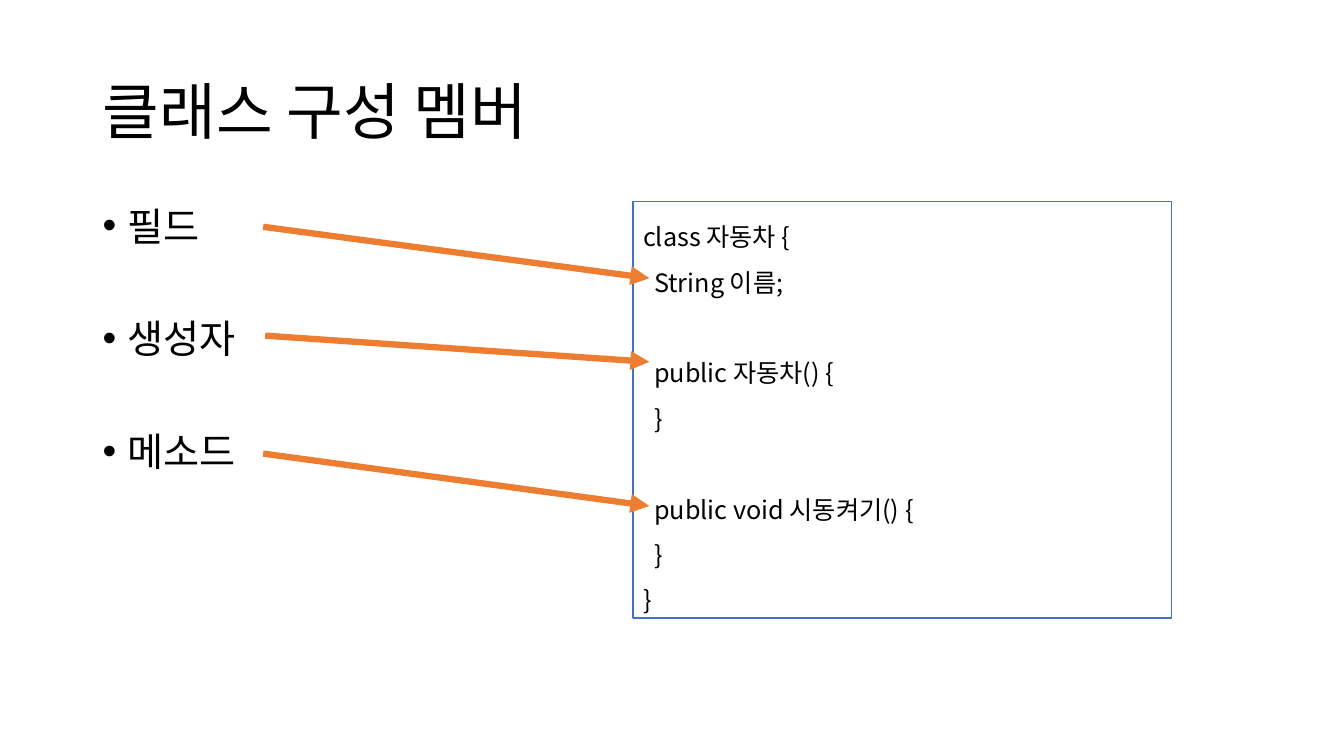
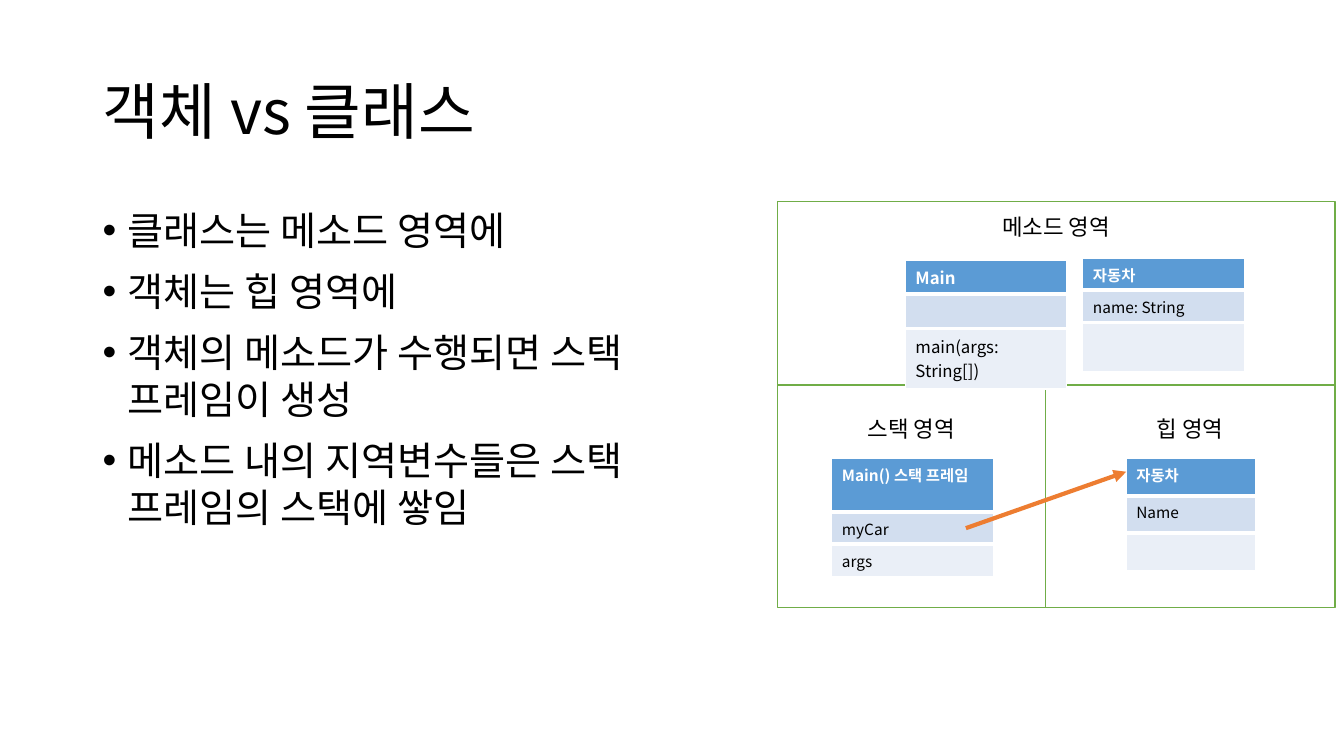
import pptx
import pptx.util
import pptx.dml.color
import pptx.enum.shapes
import pptx.enum.text
import pptx.oxml.ns
from lxml import etree

Inches, Pt = pptx.util.Inches, pptx.util.Pt
RGBColor = pptx.dml.color.RGBColor
RECTANGLE = pptx.enum.shapes.MSO_SHAPE.RECTANGLE
STRAIGHT = pptx.enum.shapes.MSO_CONNECTOR.STRAIGHT
TOP = pptx.enum.text.MSO_ANCHOR.TOP
MIDDLE = pptx.enum.text.MSO_ANCHOR.MIDDLE
LEFT = pptx.enum.text.PP_ALIGN.LEFT
CENTER = pptx.enum.text.PP_ALIGN.CENTER
qn = pptx.oxml.ns.qn

FONT = "Noto Sans CJK KR"
BLACK = RGBColor(0x00, 0x00, 0x00)
WHITE = RGBColor(0xFF, 0xFF, 0xFF)
BLUE = RGBColor(0x44, 0x72, 0xC4)
GREEN = RGBColor(0x70, 0xAD, 0x47)
ORANGE = RGBColor(0xED, 0x7D, 0x31)
ROW_FILLS = [RGBColor(0x5B, 0x9B, 0xD5), RGBColor(0xD2, 0xDE, 0xEF), RGBColor(0xEA, 0xEF, 0xF7)]


def style_text(paragraph, size, color=BLACK, bold=False, align=LEFT, line=None):
    """Format the runs of a paragraph; line is the line height in points."""
    paragraph.alignment = align
    if line:
        paragraph.line_spacing = Pt(line)
    for run in paragraph.runs:
        run.font.size, run.font.bold, run.font.name = Pt(size), bold, FONT
        run.font.color.rgb = color
        etree.SubElement(run.font._element, qn("a:ea"), typeface=FONT)


def add_arrow(slide, start, end, width):
    """Draw an orange arrow between two points given in inches."""
    arrow = slide.shapes.add_connector(STRAIGHT, *map(Inches, start + end))
    arrow.line.color.rgb = ORANGE
    arrow.line.width = Pt(width)
    etree.SubElement(arrow.line._get_or_add_ln(), qn("a:tailEnd"), type="triangle")
    etree.SubElement(arrow._element.spPr, qn("a:effectLst"))


presentation = pptx.Presentation()
presentation.slide_width, presentation.slide_height = Inches(13.33), Inches(7.5)

# Titles and bullet lists: title, bullets, list width, line height, space before
outlines = [
    ("클래스 구성 멤버", ["필드", "생성자", "메소드"], 11.5, 30.25, 50.25),
    ("객체 vs 클래스",
     ["클래스는 메소드 영역에", "객체는 힙 영역에",
      "객체의 메소드가 수행되면 스택 프레임이 생성",
      "메소드 내의 지역변수들은 스택 프레임의 스택에 쌓임"], 6.11, 33.6, 10),
]
slides = []
for heading, bullets, list_width, line_height, gap in outlines:
    slide = presentation.slides.add_slide(presentation.slide_layouts[5])
    slides.append(slide)
    title = slide.shapes.title
    title.left, title.top, title.width, title.height = map(Inches, (0.92, 0.4, 11.5, 1.45))
    title.text_frame.text = heading
    title.text_frame.vertical_anchor = MIDDLE
    style_text(title.text_frame.paragraphs[0], 44, line=47.5)

    bullet_list = slide.shapes.add_textbox(Inches(0.92), Inches(2), Inches(list_width), Inches(4.76))
    bullet_list.text_frame.word_wrap = True
    bullet_list.text_frame.text = "\n".join(bullets)
    for index, paragraph in enumerate(bullet_list.text_frame.paragraphs):
        style_text(paragraph, 28, line=line_height)
        paragraph.space_before = Pt(gap if index else 0)
        properties = paragraph._p.get_or_add_pPr()
        properties.set("marL", str(Inches(0.25)))
        properties.set("indent", str(-Inches(0.25)))
        etree.SubElement(properties, qn("a:buFont"), typeface="Arial")
        etree.SubElement(properties, qn("a:buChar"), char="•")
members_slide, memory_slide = slides

# Class members: code lines as text, indented, gap above
code_lines = [
    ("class 자동차 {", False, False),
    ("String 이름;", True, False),
    ("public 자동차() {", True, True),
    ("}", True, False),
    ("public void 시동켜기() {", True, True),
    ("}", True, False),
    ("}", False, False),
]
CODE_LINE = 32.4
code_box = members_slide.shapes.add_shape(RECTANGLE, Inches(6.28), Inches(2), Inches(5.34), Inches(4.13))
code_box.shadow.inherit = False
code_box.fill.solid()
code_box.fill.fore_color.rgb = WHITE
code_box.line.color.rgb = BLUE
code_box.line.width = Pt(1)
code_box.text_frame.vertical_anchor = TOP
code_box.text_frame.text = "\n".join(text for text, _, _ in code_lines)
for paragraph, (_, indented, gap_above) in zip(code_box.text_frame.paragraphs, code_lines):
    style_text(paragraph, 18, line=CODE_LINE)
    if indented:
        paragraph._p.get_or_add_pPr().set("marL", str(Inches(0.11)))
    if gap_above:
        paragraph.space_before = Pt(CODE_LINE)

for start, end in [((2.61, 2.25), (6.44, 2.76)), ((2.63, 3.33), (6.44, 3.59)), ((2.61, 4.5), (6.44, 5.02))]:
    add_arrow(members_slide, start, end, 4.5)

# Memory areas: label, left, top, width, height, label offset
areas = [
    ("메소드 영역", 7.71, 2, 5.53, 1.82, 0.11),
    ("스택 영역", 7.71, 3.82, 2.66, 2.21, 0.3),
    ("힙 영역", 10.37, 3.82, 2.87, 2.21, 0.3),
]
memory_map = memory_slide.shapes.add_group_shape()
for label, left, top, width, height, offset in areas:
    area = memory_map.shapes.add_shape(RECTANGLE, *map(Inches, (left, top, width, height)))
    area.shadow.inherit = False
    area.fill.solid()
    area.fill.fore_color.rgb = WHITE
    area.line.color.rgb = GREEN
    area.line.width = Pt(1)
    area.text_frame.vertical_anchor = TOP
    area.text_frame.margin_top = Inches(offset)
    area.text_frame.text = label
    style_text(area.text_frame.paragraphs[0], 16, align=CENTER, line=19.2)

# Tables: left, top, width, text size, row heights, row texts
tables = [
    (8.98, 2.58, 1.6, 12, (0.34, 0.34, 0.6), ("Main", "", "main(args: String[])")),
    (10.74, 2.56, 1.6, 11, (0.32, 0.32, 0.49), ("자동차", "name: String", "")),
    (8.25, 4.55, 1.6, 11, (0.53, 0.32, 0.32), ("Main() 스택 프레임", "myCar", "args")),
    (11.17, 4.55, 1.28, 11, (0.37, 0.37, 0.37), ("자동차", "Name", "")),
]
for left, top, width, size, heights, texts in tables:
    frame = memory_slide.shapes.add_table(
        len(texts), 1, Inches(left), Inches(top), Inches(width), Inches(sum(heights)))
    for index, (height, text, fill) in enumerate(zip(heights, texts, ROW_FILLS)):
        frame.table.rows[index].height = Inches(height)
        cell = frame.table.cell(index, 0)
        is_header = index == 0
        # White rule, three points wide, between the header and the first row
        if index < 2:
            edge = "a:lnB" if is_header else "a:lnT"
            border = etree.SubElement(cell._tc.get_or_add_tcPr(), qn(edge), w=str(Pt(3)))
            border_fill = etree.SubElement(border, qn("a:solidFill"))
            etree.SubElement(border_fill, qn("a:srgbClr"), val=str(WHITE))
        cell.fill.solid()
        cell.fill.fore_color.rgb = fill
        cell.text_frame.text = text
        paragraph = cell.text_frame.paragraphs[0]
        style_text(paragraph, size, WHITE if is_header else BLACK, is_header)
        if not text:
            etree.SubElement(paragraph._p, qn("a:endParaRPr"), sz=str(size * 100))

add_arrow(memory_slide, (9.58, 5.24), (11.17, 4.68), 3)

presentation.save("out.pptx")
